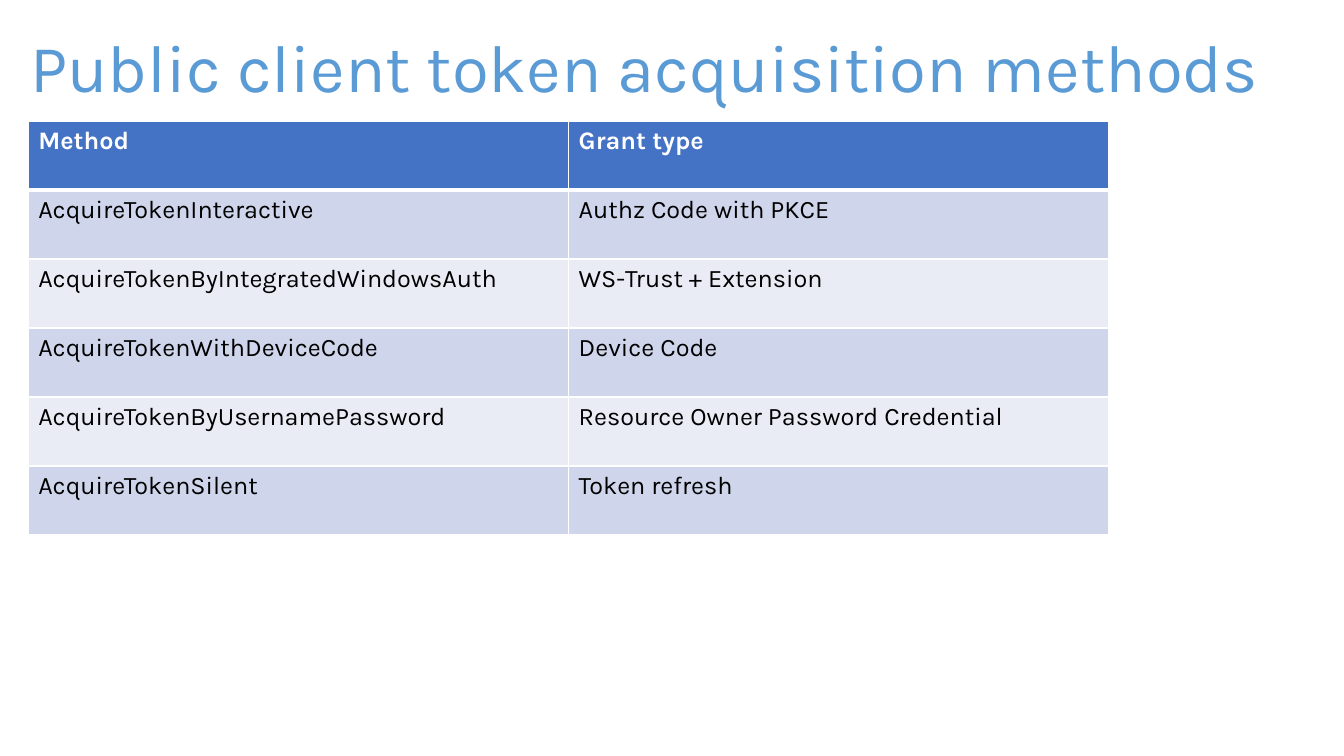
from lxml.etree import SubElement
from pptx import Presentation
from pptx.dml.color import RGBColor
from pptx.enum.text import MSO_ANCHOR
from pptx.oxml.ns import qn
from pptx.util import Inches, Pt

ROWS = [
    ("Method", "Grant type"),
    ("AcquireTokenInteractive", "Authz Code with PKCE"),
    ("AcquireTokenByIntegratedWindowsAuth", "WS-Trust + Extension"),
    ("AcquireTokenWithDeviceCode", "Device Code"),
    ("AcquireTokenByUsernamePassword", "Resource Owner Password Credential"),
    ("AcquireTokenSilent", "Token refresh"),
]


def color(code):
    return RGBColor.from_string(code)


class Deck:
    # Shared style
    font = "Karla"
    white = "FFFFFF"
    head = "4472C4"
    bands = ("CFD5EA", "E9EBF5")

    def __init__(self, wide, high):
        self.prs = Presentation()
        self.prs.slide_width = Inches(wide)
        self.prs.slide_height = Inches(high)
        self.slide = self.prs.slides.add_slide(self.prs.slide_layouts[6])

    def label(self, frame, text, tint, **form):
        para = frame.paragraphs[0]
        run = para.add_run()
        run.text = text
        for key, value in {"name": self.font, **form}.items():
            setattr(run.font, key, value)
        run.font.color.rgb = color(tint)
        return para

    def title(self, text, left, top, wide, high):
        box = self.slide.shapes.add_textbox(*map(Inches, (left, top, wide, high)))
        frame = box.text_frame
        frame.word_wrap = True
        frame.vertical_anchor = MSO_ANCHOR.MIDDLE
        para = self.label(frame, text, "5B9BD5", size=Pt(48))
        para.line_spacing = 0.9

    def border(self, cell, row):
        # The rule between header and body is thicker
        props = cell._tc.get_or_add_tcPr()
        widths = {"L": 1, "R": 1, "T": 3 if row == 1 else 1, "B": 3 if row == 0 else 1}
        for side, width in widths.items():
            line = SubElement(props, qn("a:ln" + side), w=str(Pt(width)))
            fill = SubElement(line, qn("a:solidFill"))
            SubElement(fill, qn("a:srgbClr"), val=self.white)

    def table(self, rows, left, top, wide, high):
        area = map(Inches, (left, top, wide, high))
        grid = self.slide.shapes.add_table(len(rows), len(rows[0]), *area).table
        for r, texts in enumerate(rows):
            first = r == 0
            for c, text in enumerate(texts):
                cell = grid.cell(r, c)
                self.border(cell, r)
                cell.fill.solid()
                cell.fill.fore_color.rgb = color(self.head if first else self.bands[(r - 1) % 2])
                tint = self.white if first else "000000"
                self.label(cell.text_frame, text, tint, size=Pt(18), bold=first)

    def save(self):
        self.prs.save("out.pptx")


def main():
    deck = Deck(13.33, 7.5)
    # Heading
    deck.title("Public client token acquisition methods", 0.2, 0.2, 12.99, 1)
    # Methods and their grants
    deck.table(ROWS, 0.28, 1.2, 10.72, 4.11)
    deck.save()


if __name__ == "__main__":
    main()
